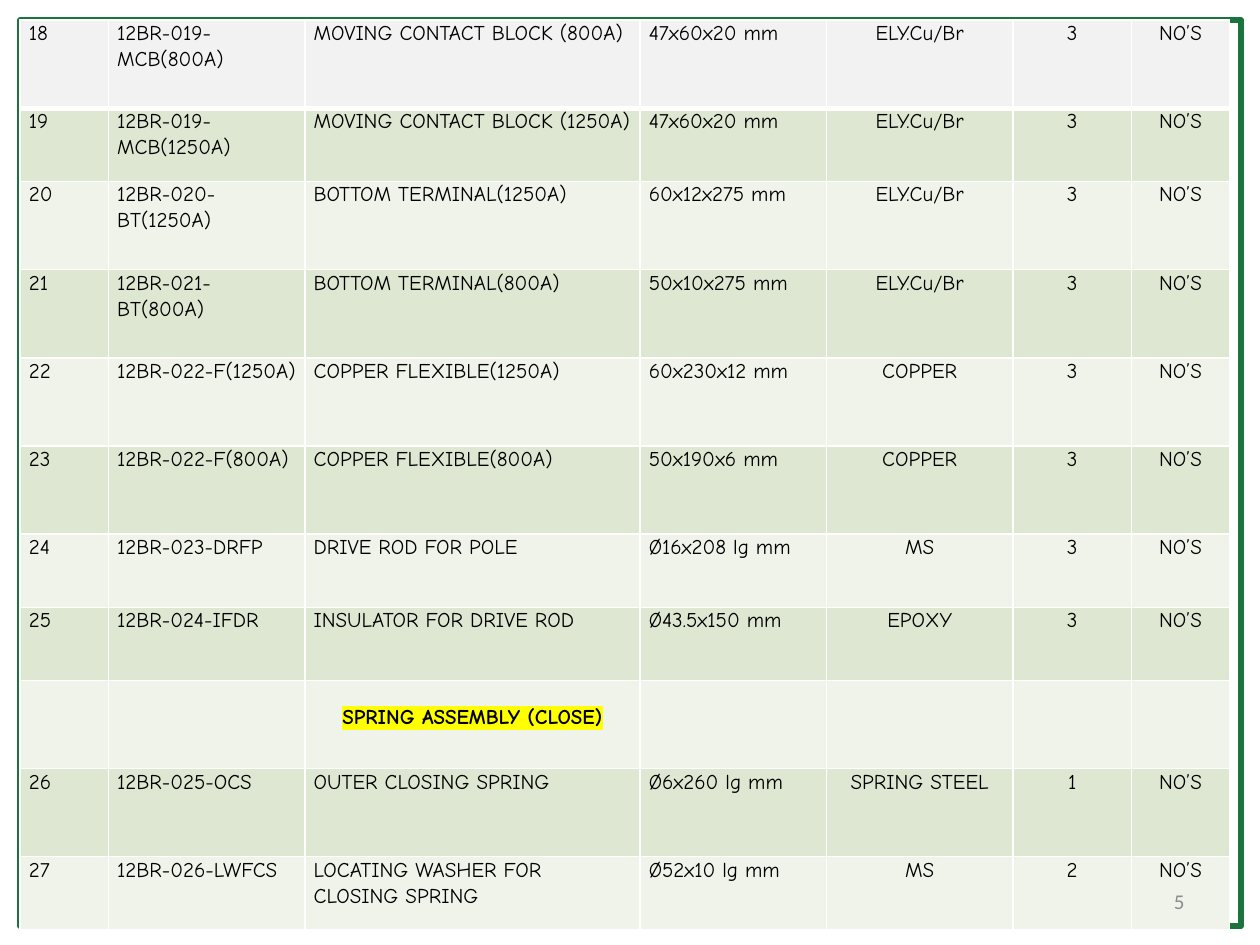
"""Build a parts-list slide with a banded table inside a green frame."""
import pptx
import pptx.util
import pptx.dml.color
import pptx.enum.shapes
import pptx.enum.text
import pptx.oxml.ns
from lxml import etree

Inches, Pt = pptx.util.Inches, pptx.util.Pt
ALIGN = pptx.enum.text.PP_ALIGN

COLORS = {
    "frame": "1A743C", "border": "FFFFFF", "first": "F2F2F2", "odd": "DEE7D1",
    "even": "EFF3EA", "text": "000000", "mark": "FFFF00", "number": "8C8C8C",
}
FONT = "Comic Neue"
UNIT = "NO’S"
SECTION = "SPRING ASSEMBLY (CLOSE)"
PARTS = [
    ("18", "12BR-019-MCB(800A)", "MOVING CONTACT BLOCK (800A)", "47x60x20 mm", "ELY.Cu/Br", "3", UNIT),
    ("19", "12BR-019-MCB(1250A)", "MOVING CONTACT BLOCK (1250A)", "47x60x20 mm", "ELY.Cu/Br", "3", UNIT),
    ("20", "12BR-020-BT(1250A)", "BOTTOM TERMINAL(1250A)", "60x12x275 mm", "ELY.Cu/Br", "3", UNIT),
    ("21", "12BR-021-BT(800A)", "BOTTOM TERMINAL(800A)", "50x10x275 mm", "ELY.Cu/Br", "3", UNIT),
    ("22", "12BR-022-F(1250A)", "COPPER FLEXIBLE(1250A)", "60x230x12 mm", "COPPER", "3", UNIT),
    ("23", "12BR-022-F(800A)", "COPPER FLEXIBLE(800A)", "50x190x6 mm", "COPPER", "3", UNIT),
    ("24", "12BR-023-DRFP", "DRIVE ROD FOR POLE", "Ø16x208 lg mm", "MS", "3", UNIT),
    ("25", "12BR-024-IFDR", "INSULATOR FOR DRIVE ROD", "Ø43.5x150 mm", "EPOXY", "3", UNIT),
    ("", "", SECTION, "", "", "", ""),
    ("26", "12BR-025-OCS", "OUTER CLOSING SPRING", "Ø6x260 lg mm", "SPRING STEEL", "1", UNIT),
    ("27", "12BR-026-LWFCS", "LOCATING WASHER FOR CLOSING SPRING", "Ø52x10 lg mm", "MS", "2", UNIT),
]
COL_WIDTHS = [0.7, 1.56, 2.66, 1.48, 1.48, 0.94, 0.78]
TALL, SHORT = 0.7, 0.58
SHORT_ROWS = {"19", "24", "25", "27"}
FIRST_CENTERED = 4


def rgb(name):
    return pptx.dml.color.RGBColor.from_string(COLORS[name])


def add_color(parent, tag, name):
    el = etree.SubElement(parent, pptx.oxml.ns.qn(tag))
    etree.SubElement(el, pptx.oxml.ns.qn("a:srgbClr"), val=COLORS[name])
    return el


def set_borders(cell, row):
    tcPr = cell._tc.get_or_add_tcPr()
    widths = {"L": 1, "R": 1, "T": 3 if row == 1 else 1, "B": 3 if row == 0 else 1}
    for side, width in widths.items():
        ln = etree.SubElement(tcPr, pptx.oxml.ns.qn(f"a:ln{side}"), w=str(Pt(width)))
        add_color(ln, "a:solidFill", "border")


def add_run(p, text, font, color):
    r = p.add_run()
    r.text = text
    r.font.size = Pt(12)
    r.font.name = font
    r.font.color.rgb = rgb(color)
    return r


def fill_cell(cell, row, col, text):
    set_borders(cell, row)
    cell.fill.solid()
    cell.fill.fore_color.rgb = rgb("first" if row == 0 else "odd" if row % 2 else "even")
    cell.margin_left = cell.margin_right = Inches(0.07)
    cell.margin_top = cell.margin_bottom = 0
    if not text:
        return
    p = cell.text_frame.paragraphs[0]
    p.line_spacing = 1.07
    if col == 0:
        pPr = p._p.get_or_add_pPr()
        pPr.set("marL", str(Inches(0.38)))
        pPr.set("indent", str(-Inches(0.38)))
    if col >= FIRST_CENTERED or text == SECTION:
        p.alignment = ALIGN.CENTER
    r = add_run(p, text, FONT, "text")
    if text == SECTION:
        cell.margin_top = Inches(0.19)
        r.font.bold = True
        rPr = r.font._element
        fill = rPr.find(pptx.oxml.ns.qn("a:solidFill"))
        fill.addnext(add_color(rPr, "a:highlight", "mark"))


def add_frame(s):
    frame = s.shapes.add_shape(
        pptx.enum.shapes.MSO_SHAPE.RECTANGLE,
        Inches(0.16), Inches(0.16), Inches(9.69), Inches(7.19))
    frame.shadow.inherit = False
    frame.fill.background()
    frame.line.color.rgb = rgb("frame")
    frame.line.width = Pt(3.5)


def add_parts_table(s):
    table = s.shapes.add_table(
        len(PARTS), len(COL_WIDTHS),
        Inches(0.16), Inches(0.16), Inches(9.61), Inches(7.19)).table
    for column, width in zip(table.columns, COL_WIDTHS):
        column.width = Inches(width)
    for i, part in enumerate(PARTS):
        table.rows[i].height = Inches(SHORT if part[0] in SHORT_ROWS else TALL)
        for j, text in enumerate(part):
            fill_cell(table.cell(i, j), i, j, text)


def add_slide_number(s):
    tf = s.shapes.add_textbox(Inches(7.17), Inches(6.95), Inches(2.33), Inches(0.4)).text_frame
    tf.word_wrap = True
    tf.vertical_anchor = pptx.enum.text.MSO_ANCHOR.MIDDLE
    p = tf.paragraphs[0]
    p.alignment = ALIGN.RIGHT
    add_run(p, "5", "Calibri", "number")


def main():
    prs = pptx.Presentation()
    prs.slide_width, prs.slide_height = Inches(10), Inches(7.5)
    s = prs.slides.add_slide(prs.slide_layouts[6])
    add_frame(s)
    add_parts_table(s)
    add_slide_number(s)
    prs.save("out.pptx")


if __name__ == "__main__":
    main()
